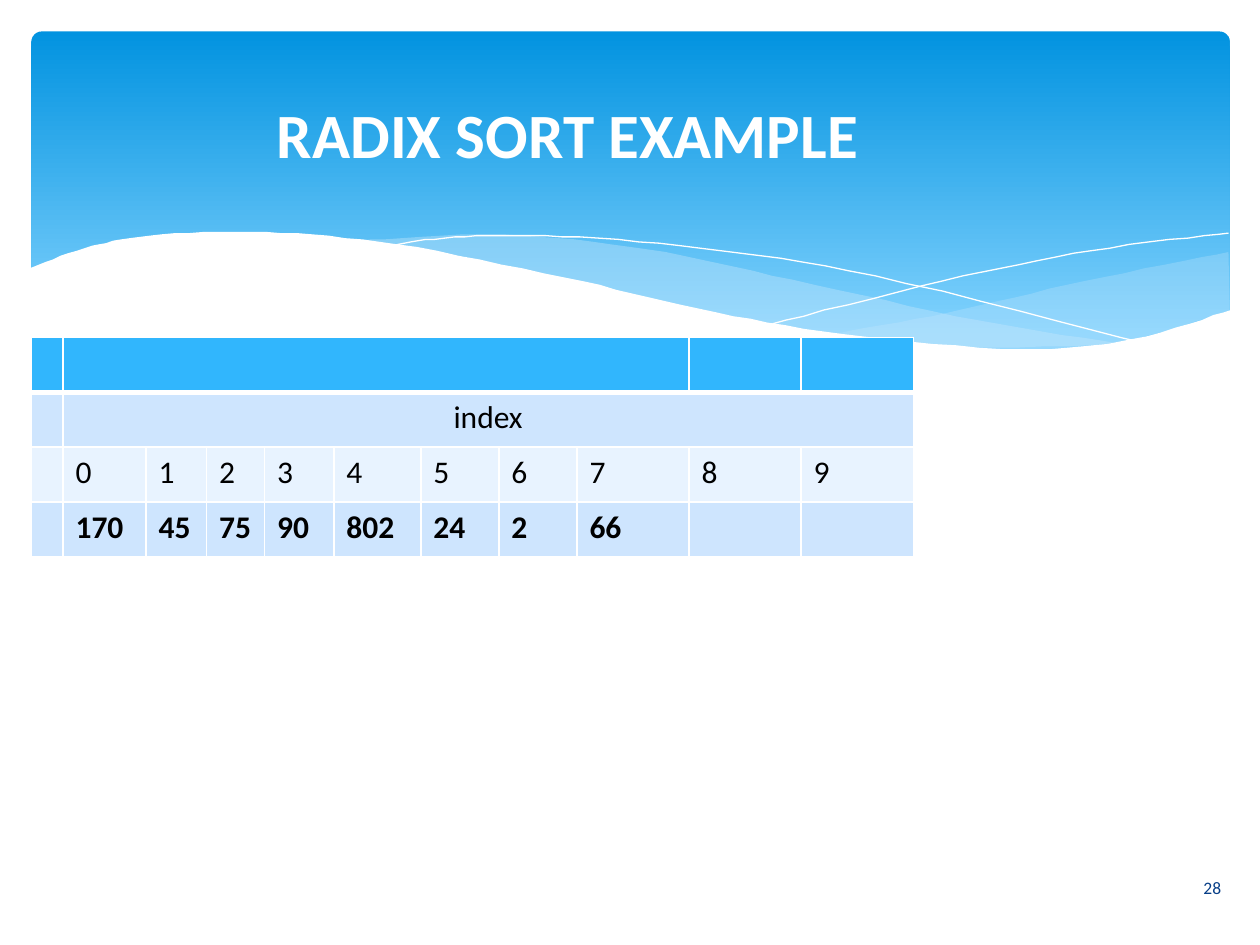
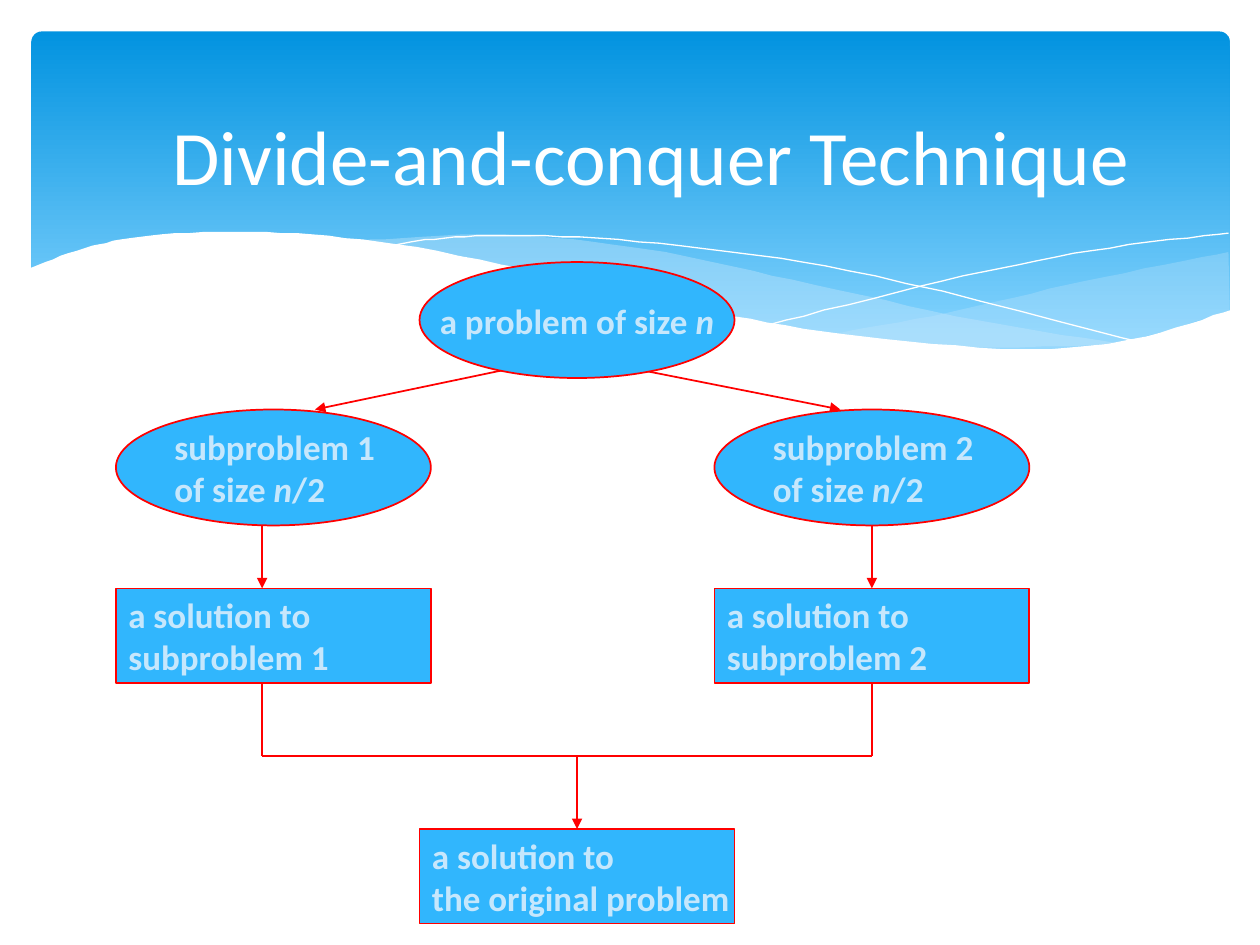
from pptx import Presentation
from pptx.dml.color import RGBColor as RGB
from pptx.enum.shapes import MSO_CONNECTOR as Connector, MSO_SHAPE as Preset
from pptx.enum.text import MSO_ANCHOR as Anchor, PP_ALIGN as Align
from pptx.oxml.ns import qn
from pptx.oxml.xmlchemy import OxmlElement
from pptx.util import Inches, Pt

COLORS = {
    "sky_top": "0293E0", "sky_bottom": "83D3FE", "pale": "C6E7FC",
    "white": "FFFFFF", "black": "000000", "number": "073E87",
    "blue": "31B6FD", "band_dark": "CEE5FE", "band_light": "E8F3FF",
    "red": "FF0000",
}
FORMATS = {
    "bold_title": {"size": Pt(36), "bold": True},
    "title": {"size": Pt(44)},
    "number": {"size": Pt(10)},
    "cell": {"size": Pt(18)},
    "bold_cell": {"size": Pt(18), "bold": True},
    "node": {"size": Pt(20), "bold": True},
}

# Header waves: smooth curves through points in hundredths of an inch, fill, opacity
WAVES = [
    ([[(975, 200), (861, 223), (753, 248), (661, 265)],
      [(661, 265), (745, 275), (814, 278), (889, 272), (976, 247)]], "pale", 29),
    ([[(893, 273), (775, 254), (629, 222), (514, 198), (399, 186), (286, 191)],
      [(286, 191), (383, 207), (491, 232), (634, 261), (748, 276), (893, 273)]], "pale", 40),
    ([[(309, 195), (353, 189), (433, 187), (556, 197), (695, 219), (907, 272)]], None, 100),
    ([[(613, 257), (748, 223), (866, 199), (975, 185)]], None, 100),
    ([[(977, 246), (899, 269), (809, 277), (668, 265), (555, 245), (447, 220),
       (316, 194), (211, 184), (119, 187), (67, 197), (23, 213)],
      [(23, 329), (977, 329)]], "white", 100),
]
STEPS = 8


def write_text(shape, lines, style, color, align=Align.LEFT, anchor=Anchor.MIDDLE, wrap=True):
    """Write one paragraph per line; *stars* enclose italics."""
    frame = shape.text_frame
    frame.word_wrap, frame.vertical_anchor = wrap, anchor
    for index, line in enumerate(lines):
        paragraph = frame.paragraphs[0] if index == 0 else frame.add_paragraph()
        paragraph.alignment = align
        for part, text in enumerate(line.split("*")):
            if text:
                run = paragraph.add_run()
                run.text = text
                run.font.name = "Calibri"
                run.font.color.rgb = RGB.from_string(COLORS[color])
                for name, value in FORMATS[style].items():
                    setattr(run.font, name, value)
                run.font.italic = part % 2 == 1


def add_line(slide, start, end, arrow=False):
    line = slide.shapes.add_connector(Connector.STRAIGHT, *map(Inches, start + end))
    line.line.color.rgb = RGB.from_string(COLORS["red"])
    line.line.width = Pt(1)
    properties = line._element.spPr
    if arrow:
        tail = OxmlElement("a:tailEnd")
        tail.set("type", "triangle")
        properties.find(qn("a:ln")).append(tail)
    properties.append(OxmlElement("a:effectLst"))
    return line


presentation = Presentation()
presentation.slide_width, presentation.slide_height = Inches(10), Inches(7.5)

# Shared header and title
TITLES = [
    ("RADIX SORT EXAMPLE", "bold_title", (-0.33, 0.37, 9.67, 1.37)),
    ("Divide-and-conquer Technique", "title", (0.67, 0.54, 9, 1.37)),
]
for title, style, box in TITLES:
    slide = presentation.slides.add_slide(presentation.slide_layouts[6])
    sky = slide.shapes.add_shape(Preset.ROUNDED_RECTANGLE, *map(Inches, (0.25, 0.25, 9.51, 2.7)))
    sky.adjustments[0] = 0.03
    sky.shadow.inherit = False
    sky.line.fill.background()
    sky.fill.gradient()
    sky.fill.gradient_angle = 270
    for stop, position, color in zip(sky.fill.gradient_stops, (0, 0.9), ("sky_top", "sky_bottom")):
        stop.position = position
        stop.color.rgb = RGB.from_string(COLORS[color])

    for curves, fill, opacity in WAVES:
        # Catmull-Rom interpolation between the points of each curve
        outline = []
        for curve in curves:
            padded = [curve[0], *curve, curve[-1]]
            outline.append(curve[0])
            for quad in zip(padded, padded[1:], padded[2:], padded[3:]):
                for step in range(1, STEPS + 1):
                    t = step / STEPS
                    outline.append(tuple(
                        b + ((c - a) * t + (2 * a - 5 * b + 4 * c - d) * t ** 2
                             + (3 * b - a - 3 * c + d) * t ** 3) / 2
                        for a, b, c, d in zip(*quad)))
        builder = slide.shapes.build_freeform(*outline[0], scale=Inches(0.01))
        builder.add_line_segments(outline[1:], close=fill is not None)
        wave = builder.convert_to_shape()
        wave.shadow.inherit = False
        if fill:
            wave.fill.solid()
            wave.fill.fore_color.rgb = RGB.from_string(COLORS[fill])
            wave.line.fill.background()
        else:
            wave.fill.background()
            wave.line.color.rgb = RGB.from_string(COLORS["white"])
            wave.line.width = Pt(0)
        if opacity < 100:
            alpha = OxmlElement("a:alpha")
            alpha.set("val", str(opacity * 1000))
            wave._element.spPr.find(qn("a:solidFill"))[0].append(alpha)

    title_box = slide.shapes.add_textbox(*map(Inches, box))
    write_text(title_box, [title], style, "white", Align.CENTER)

radix_slide, divide_slide = presentation.slides

# Slide number
number_box = radix_slide.shapes.add_textbox(*map(Inches, (5.65, 6.84, 4.14, 0.4)))
write_text(number_box, ["28"], "number", "number", Align.RIGHT)

# Radix sort table
COLUMN_WIDTHS = [0.25, 0.66, 0.48, 0.46, 0.55, 0.69, 0.62, 0.62] + [0.89] * 3
ROWS = [
    ("blue", "cell", []),
    ("band_dark", "cell", ["", "index"]),
    ("band_light", "cell", [""] + [str(digit) for digit in range(10)]),
    ("band_dark", "bold_cell", ["", "170", "45", "75", "90", "802", "24", "2", "66"]),
]
table_frame = radix_slide.shapes.add_table(
    len(ROWS), len(COLUMN_WIDTHS), *map(Inches, (0.25, 2.68, 7, 1.74)))
table = table_frame.table
for column, width in zip(table.columns, COLUMN_WIDTHS):
    column.width = Inches(width)
for row_index, (fill, style, values) in enumerate(ROWS):
    table.rows[row_index].height = Inches(1.74 / len(ROWS))
    for column_index in range(len(COLUMN_WIDTHS)):
        cell = table.cell(row_index, column_index)
        thick_side = {0: "lnB", 1: "lnT"}.get(row_index)
        for side in ("lnL", "lnR", "lnT", "lnB"):
            border = OxmlElement("a:" + side)
            border.set("w", str(Pt(3 if side == thick_side else 1)))
            border_fill, border_color = OxmlElement("a:solidFill"), OxmlElement("a:srgbClr")
            border_color.set("val", COLORS["white"])
            border_fill.append(border_color)
            border.append(border_fill)
            cell._tc.get_or_add_tcPr().append(border)
        cell.fill.solid()
        cell.fill.fore_color.rgb = RGB.from_string(COLORS[fill])
        if column_index < len(values) and values[column_index]:
            text = values[column_index]
            align = Align.CENTER if text == "index" else Align.LEFT
            write_text(cell, [text], style, "black", align, Anchor.TOP)
table.cell(0, 1).merge(table.cell(0, 8))
table.cell(1, 1).merge(table.cell(1, 10))

# Divide-and-conquer: arrows from the problem to its halves
LEFT, MIDDLE, RIGHT = 0.92, 3.33, 5.67
LEFT_LINE, MIDDLE_LINE, RIGHT_LINE = 2.08, 4.58, 6.92
add_line(divide_slide, (4.08, 2.92), (2.5, 3.25), arrow=True)
add_line(divide_slide, (5, 2.92), (6.67, 3.25), arrow=True)

# Problems are ellipses, solutions are rectangles
NODES = [
    (Preset.OVAL, MIDDLE, 2.08, ["a problem of size *n*"]),
    (Preset.OVAL, LEFT, 3.25, ["subproblem 1", "of size *n*/2"]),
    (Preset.OVAL, RIGHT, 3.25, ["subproblem 2", "of size *n*/2"]),
    (Preset.RECTANGLE, LEFT, 4.67, ["a solution to", "subproblem 1"]),
    (Preset.RECTANGLE, RIGHT, 4.67, ["a solution to", "subproblem 2"]),
    (Preset.RECTANGLE, MIDDLE, 6.58, ["a solution to", "the original problem"]),
]
nodes = []
for preset, left, top, lines in NODES:
    height = 0.92 if preset == Preset.OVAL else 0.75
    node = divide_slide.shapes.add_shape(preset, *map(Inches, (left, top, 2.5, height)))
    node.shadow.inherit = False
    node.fill.solid()
    node.fill.fore_color.rgb = RGB.from_string(COLORS["blue"])
    node.line.color.rgb = RGB.from_string(COLORS["red"])
    node.line.width = Pt(1)
    align = Align.CENTER if len(lines) == 1 else Align.LEFT
    write_text(node, lines, "node", "pale", align, wrap=False)
    nodes.append(node)
right_solution, full_solution = nodes[-2:]

# Lines from the subproblems down to the combined solution
for x in (LEFT_LINE, RIGHT_LINE):
    solve_arrow = add_line(divide_slide, (x, 4.17), (x, 4.67), arrow=True)
    merge_line = add_line(divide_slide, (x, 5.42), (x, 6))
    if x == RIGHT_LINE:
        solve_arrow.end_connect(right_solution, 0)
        merge_line.begin_connect(right_solution, 2)
add_line(divide_slide, (LEFT_LINE, 6), (RIGHT_LINE, 6))
combine_arrow = add_line(divide_slide, (MIDDLE_LINE, 6), (MIDDLE_LINE, 6.58), arrow=True)
combine_arrow.end_connect(full_solution, 0)

presentation.save("out.pptx")
